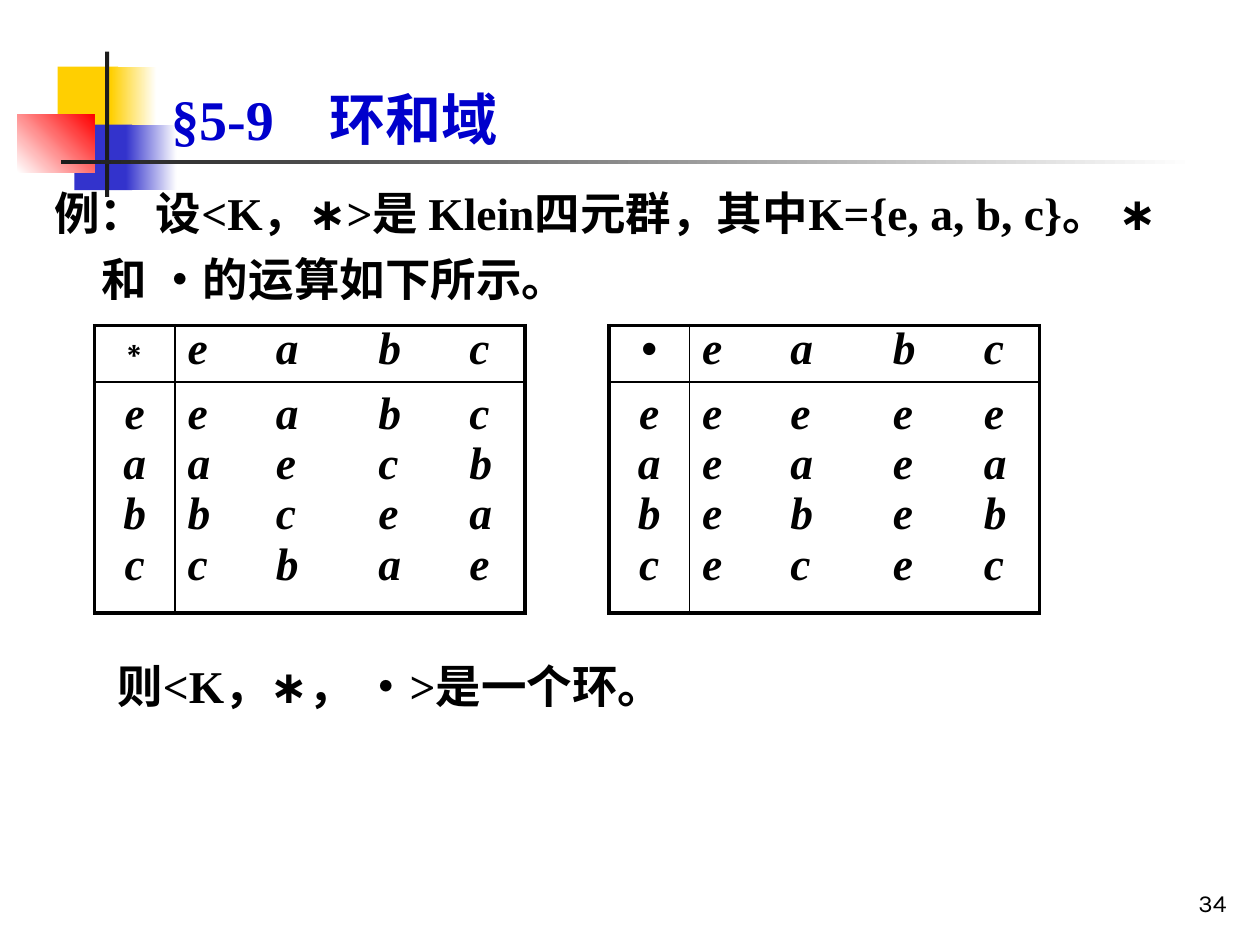
from lxml.etree import SubElement
from pptx import Presentation
from pptx.dml.color import RGBColor
from pptx.enum.shapes import MSO_SHAPE
from pptx.enum.text import MSO_ANCHOR, PP_ALIGN
from pptx.oxml.ns import qn
from pptx.util import Pt

COLORS = {
    "paper": "FFFFFF", "ink": "000000", "title": "0000CC", "yellow": "FFCF01",
    "blue": "3333CC", "red": "FF0000", "bar": "1C1C1C",
}
COLUMN_TABS = (50.5, 109, 161)


def rgb(name):
    return RGBColor.from_string(COLORS[name])


class SlideWriter:
    font = "Times New Roman"
    size = 26
    thick, thin = 2.25, 1

    def __init__(self, slide):
        self.slide = slide

    def block(self, left, top, width, height, color, fade_to=None, angle=0):
        block = self.slide.shapes.add_shape(
            MSO_SHAPE.RECTANGLE, Pt(left), Pt(top), Pt(width), Pt(height))
        block.shadow.inherit = False
        block.line.fill.background()
        if fade_to is None:
            block.fill.solid()
            block.fill.fore_color.rgb = rgb(color)
            return
        block.fill.gradient()
        block.fill.gradient_angle = angle
        for stop, name in zip(block.fill.gradient_stops, (color, fade_to)):
            stop.color.rgb = rgb(name)

    def paragraph(self, paragraph, text, size=None, color="ink", font=None, bold=True,
                  italic=False, align=PP_ALIGN.LEFT, spacing=None, tabs=(), hanging=0):
        paragraph.alignment = align
        if spacing:
            paragraph.line_spacing = spacing
        properties = paragraph._p.get_or_add_pPr()
        if hanging:
            properties.set("marL", str(Pt(hanging)))
            properties.set("indent", str(-Pt(hanging)))
        if tabs:
            stops = SubElement(properties, qn("a:tabLst"))
            for position in tabs:
                SubElement(stops, qn("a:tab"), pos=str(Pt(position)), algn="l")
        run = paragraph.add_run()
        run.text = text
        run.font.name = font or self.font
        run.font.size = Pt(size or self.size)
        run.font.bold = bold
        run.font.italic = italic
        run.font.color.rgb = rgb(color)

    def text(self, left, top, width, height, text, anchor=MSO_ANCHOR.TOP, **style):
        frame = self.slide.shapes.add_textbox(
            Pt(left), Pt(top), Pt(width), Pt(height)).text_frame
        frame.word_wrap = True
        frame.vertical_anchor = anchor
        self.paragraph(frame.paragraphs[0], text, **style)

    def cell(self, cell, lines, borders, **style):
        properties = cell._tc.get_or_add_tcPr()
        for side, width in zip("LRTB", borders):
            line = SubElement(properties, qn(f"a:ln{side}"), w=str(Pt(width)))
            fill = SubElement(line, qn("a:solidFill"))
            SubElement(fill, qn("a:srgbClr"), val=COLORS["ink"])
        cell.fill.background()
        frame = cell.text_frame
        for index, line in enumerate(lines):
            paragraph = frame.add_paragraph() if index else frame.paragraphs[0]
            self.paragraph(paragraph, line, **style)

    def operation_table(self, left, top, operator, operator_size, elements, products):
        widths, heights = (46, 200), (32.4, 131.6)
        table = self.slide.shapes.add_table(
            2, 2, Pt(left), Pt(top), Pt(sum(widths)), Pt(sum(heights))).table
        table.first_row = table.horz_banding = False
        for column, width in zip(table.columns, widths):
            column.width = Pt(width)
        for row, height in zip(table.rows, heights):
            row.height = Pt(height)
        thick, thin = self.thick, self.thin
        center = PP_ALIGN.CENTER
        self.cell(table.cell(0, 0), [operator], (thick, thin, thick, thin),
                  size=operator_size, align=center, spacing=0.8)
        self.cell(table.cell(0, 1), ["\t".join(elements)], (thin, thick, thick, thin),
                  italic=True, spacing=0.8, tabs=COLUMN_TABS)
        self.cell(table.cell(1, 0), elements, (thick, thin, thin, thick),
                  italic=True, align=center)
        self.cell(table.cell(1, 1), ["\t".join(row) for row in products],
                  (thin, thick, thin, thick), italic=True, tabs=COLUMN_TABS)


def main():
    deck = Presentation()
    deck.slide_width, deck.slide_height = Pt(720), Pt(540)
    writer = SlideWriter(deck.slides.add_slide(deck.slide_layouts[6]))

    writer.block(33, 38, 34.5, 37.5, "yellow")
    writer.block(63.4, 38, 26, 37.5, "yellow", "paper")
    writer.block(42.5, 71.2, 33, 37.5, "blue")
    writer.block(72, 71.2, 29, 37.5, "blue", "paper")
    writer.block(10, 65.5, 44, 33, "paper", "red", angle=45)
    writer.block(60, 29.5, 2.4, 83, "bar")
    writer.block(34.8, 91.4, 648, 2.4, "bar", "paper")

    writer.text(558, 492, 150, 36, "34", MSO_ANCHOR.BOTTOM, size=14, font="Karla",
                bold=False, align=PP_ALIGN.RIGHT)
    writer.text(90.7, 0, 613.5, 90, "§5-9\t环和域", MSO_ANCHOR.BOTTOM, size=32,
                color="title", tabs=[90.5])
    writer.text(24, 96, 660, 82,
                "例： 设<K，∗>是 Klein四元群，其中K={e, a, b, c}。 ∗和 •的运算如下所示。",
                spacing=1.2, hanging=27)

    elements = "eabc"
    writer.operation_table(54, 186, "∗", 24, elements, ["eabc", "aecb", "bcea", "cbae"])
    writer.operation_table(348, 186, "•", 26, elements, ["eeee", "eaea", "ebeb", "ecec"])

    writer.text(60, 366, 426, 44.6, "则<K，∗， •>是一个环。", spacing=1.2)
    deck.save("out.pptx")


if __name__ == "__main__":
    main()
